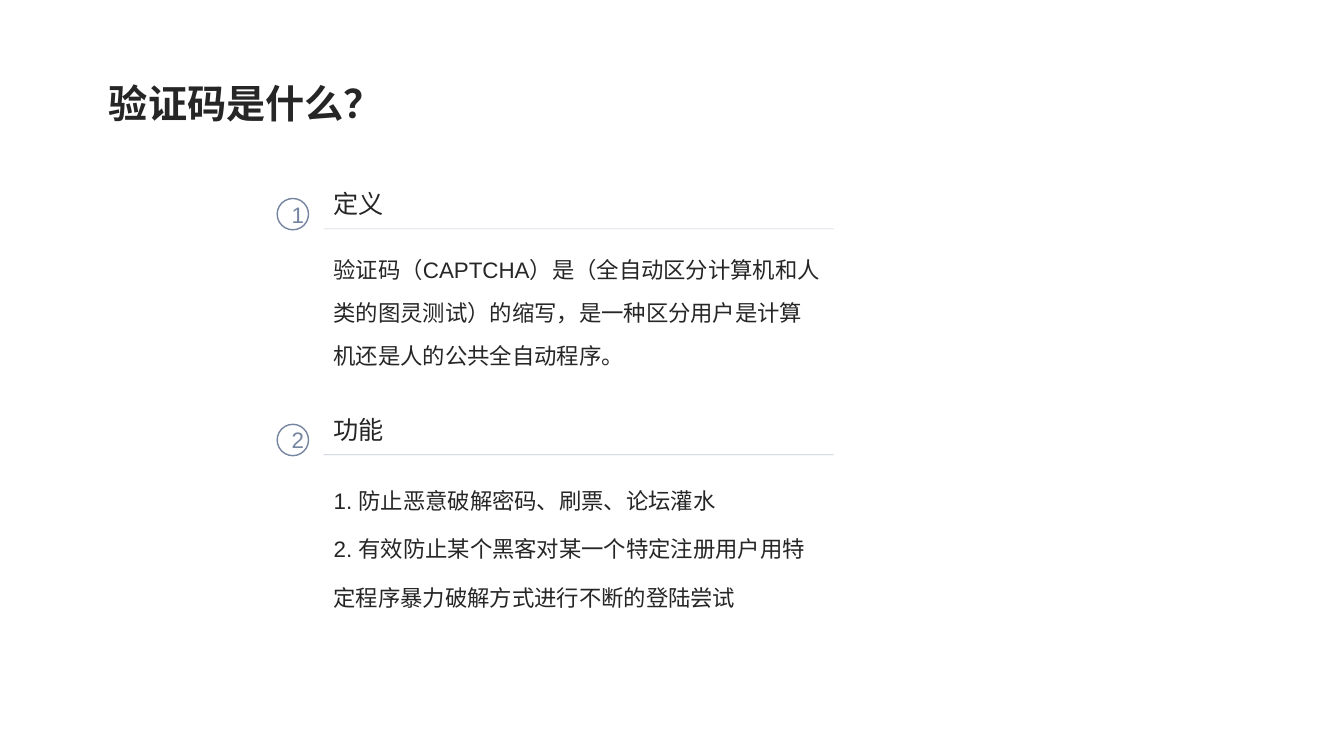
import pptx
import pptx.dml.color
import pptx.enum.lang
import pptx.enum.shapes
import pptx.enum.text
import pptx.oxml.ns
import pptx.util
from lxml import etree

Pt = pptx.util.Pt
qn = pptx.oxml.ns.qn

# Content
TITLE = "验证码是什么？"
SECTIONS = [
    {
        "heading": "定义",
        "body": ["验证码（CAPTCHA）是（全自动区分计算机和人类的图灵测试）的缩写，"
                 "是一种区分用户是计算机还是人的公共全自动程序。"],
        "spacing": 1.6,
        "height": 102,
    },
    {
        "heading": "功能",
        "body": ["1. 防止恶意破解密码、刷票、论坛灌水",
                 "2. 有效防止某个黑客对某一个特定注册用户用特定程序暴力破解方式进行不断的登陆尝试"],
        "spacing": 1.8,
        "height": 127,
    },
]

# Style and layout, in points
INK = pptx.dml.color.RGBColor(0x26, 0x26, 0x26)
SLATE = pptx.dml.color.RGBColor(0x75, 0x84, 0x9F)
FONT = "Arial"
LEFT, WIDTH = 231.1, 364.3
FIRST_TOP, PITCH = 128.9, 161.3
RULE_DROP, BODY_DROP = 34.6, 38.9
BADGE_LEFT, BADGE_DROP, BADGE_SIZE = 198, 12.9, 22.4


def style_runs(paragraph, size, color, bold=False):
    for run in paragraph.runs:
        run.font.name = FONT
        run.font.size = Pt(size)
        run.font.bold = bold
        run.font.color.rgb = color
        run.font.language_id = pptx.enum.lang.MSO_LANGUAGE_ID.SIMPLIFIED_CHINESE


def fill_placeholder(holder, box, lines, size, spacing, bold=False):
    holder.left, holder.top, holder.width, holder.height = map(Pt, box)
    frame = holder.text_frame
    frame.text = "\n".join(lines)
    frame.word_wrap = True
    frame.auto_size = pptx.enum.text.MSO_AUTO_SIZE.NONE
    frame.vertical_anchor = pptx.enum.text.MSO_ANCHOR.TOP
    for paragraph in frame.paragraphs:
        paragraph.alignment = pptx.enum.text.PP_ALIGN.LEFT
        paragraph.line_spacing = spacing
        paragraph.space_before = paragraph.space_after = Pt(0)
        style_runs(paragraph, size, INK, bold)
        # No bullet and no hanging indent
        properties = paragraph._p.get_or_add_pPr()
        properties.set("marL", "0")
        properties.set("indent", "0")
        etree.SubElement(properties, qn("a:buNone"))


def add_rule(slide, top):
    rule = slide.shapes.add_connector(
        pptx.enum.shapes.MSO_CONNECTOR.STRAIGHT,
        Pt(LEFT), Pt(top), Pt(LEFT + WIDTH), Pt(top))
    rule.line.color.rgb = SLATE
    rule.line.width = Pt(0.5)
    color = rule.line._ln.find(".//" + qn("a:srgbClr"))
    etree.SubElement(color, qn("a:alpha")).set("val", "44000")
    etree.SubElement(rule._element.spPr, qn("a:effectLst"))


def add_badge(slide, top, number):
    badge = slide.shapes.add_shape(
        pptx.enum.shapes.MSO_SHAPE.OVAL,
        Pt(BADGE_LEFT), Pt(top), Pt(BADGE_SIZE), Pt(BADGE_SIZE))
    badge.shadow.inherit = False
    badge.fill.background()
    badge.line.color.rgb = SLATE
    badge.line.width = Pt(1)
    badge.text_frame.text = str(number)
    badge.text_frame.vertical_anchor = pptx.enum.text.MSO_ANCHOR.MIDDLE
    digit = badge.text_frame.paragraphs[0]
    digit.alignment = pptx.enum.text.PP_ALIGN.CENTER
    style_runs(digit, 16, SLATE)


def main():
    deck = pptx.Presentation()
    deck.slide_width, deck.slide_height = Pt(960), Pt(540)
    # The comparison layout holds a title and two heading and body pairs
    slide = deck.slides.add_slide(deck.slide_layouts[4])
    title, *holders = slide.placeholders

    fill_placeholder(title, (70.6, 46.1, 821.5, 62.6), [TITLE], 28, 1.2, True)

    # Numbered sections
    pairs = zip(holders[::2], holders[1::2])
    for index, (section, (heading, body)) in enumerate(zip(SECTIONS, pairs)):
        top = FIRST_TOP + index * PITCH
        add_rule(slide, top + RULE_DROP)
        fill_placeholder(heading, (LEFT, top, WIDTH, 32.4),
                         [section["heading"]], 18, 1.1)
        fill_placeholder(body, (LEFT, top + BODY_DROP, WIDTH, section["height"]),
                         section["body"], 16, section["spacing"])
        add_badge(slide, top + BADGE_DROP, index + 1)

    deck.save("out.pptx")


if __name__ == "__main__":
    main()
